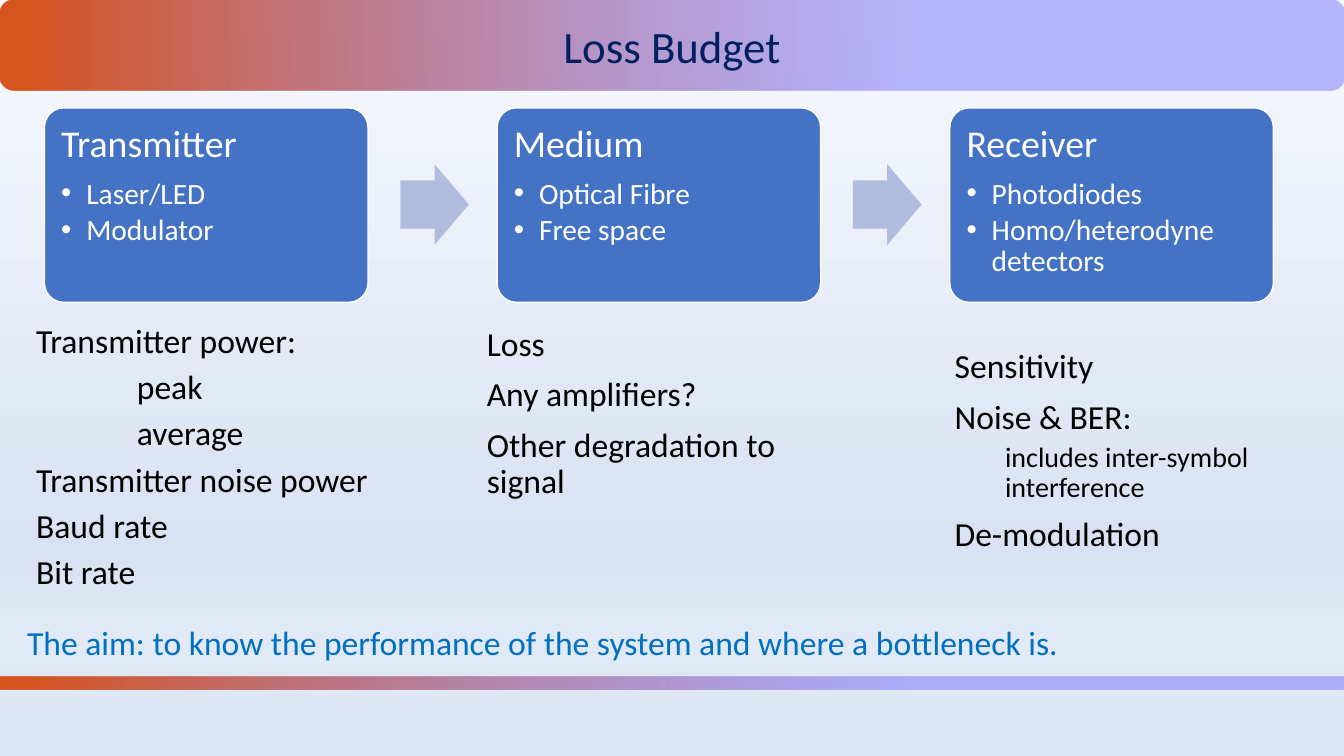
import lxml.etree
import pptx
import pptx.dml.color
import pptx.enum.dml
import pptx.enum.shapes
import pptx.enum.text
import pptx.oxml.ns
import pptx.util

Inches = pptx.util.Inches
Pt = pptx.util.Pt
qn = pptx.oxml.ns.qn
SHAPES = pptx.enum.shapes.MSO_SHAPE
COLUMN_STEP = 4.49


def set_gradient(fill, element, stops, angle):
    """Fill with stops of (position %, colour, opacity %); angle is counterclockwise."""
    fill.gradient()
    fill.gradient_angle = angle
    stop_list = next(element.iter(qn("a:gsLst")))
    stop_list.clear()
    for position, colour, opacity in stops:
        stop = lxml.etree.SubElement(stop_list, qn("a:gs"), pos=str(position * 1000))
        shade = lxml.etree.SubElement(stop, qn("a:srgbClr"), val=colour)
        if opacity < 100:
            lxml.etree.SubElement(shade, qn("a:alpha"), val=str(opacity * 1000))


def add_span(para, text, size, colour, line_spacing=0.9):
    para.line_spacing = line_spacing
    span = para.add_run()
    span.text = text
    span.font.name = "Calibri"
    span.font.size = Pt(size)
    span.font.color.rgb = pptx.dml.color.RGBColor.from_string(colour)


deck = pptx.Presentation()
deck.slide_width = Inches(13.33)
deck.slide_height = Inches(7.5)
page = deck.slides.add_slide(deck.slide_layouts[6])
background_stops = [(0, "F6F8FC", 100), (74, "D9E2F3", 100),
                    (83, "E2E9F6", 100), (100, "DCE5F4", 47)]
set_gradient(page.background.fill, page.element, background_stops, 270)

# Header and footer bars
for top, height in [(0, 0.9), (6.71, 0.13)]:
    bar = page.shapes.add_shape(SHAPES.ROUNDED_RECTANGLE, 0, Inches(top),
                                deck.slide_width, Inches(height))
    bar.shadow.inherit = False
    bar.line.fill.background()
    set_gradient(bar.fill, bar.element, [(2, "D65420", 100), (68, "7B75FB", 51)], 0)

# Title and closing statement
aim = "The aim: to know the performance of the system and where a bottleneck is."
for text, left, top, width, height, size, colour, align in [
    ("Loss Budget", 0, 0.2, 13.33, 0.46, 32, "002060", pptx.enum.text.PP_ALIGN.CENTER),
    (aim, 0.17, 6.17, 12.93, 1.2, 24, "0070C0", pptx.enum.text.PP_ALIGN.LEFT),
]:
    box = page.shapes.add_textbox(Inches(left), Inches(top), Inches(width), Inches(height))
    box.text_frame.word_wrap = True
    para = box.text_frame.paragraphs[0]
    para.alignment = align
    add_span(para, text, size, colour)

# Chain of system stages
stages = [
    ("Transmitter", ["Laser/LED", "Modulator"]),
    ("Medium", ["Optical Fibre", "Free space"]),
    ("Receiver", ["Photodiodes", "Homo/heterodyne detectors"]),
]
for index, (heading, parts) in enumerate(stages):
    offset = index * COLUMN_STEP
    card = page.shapes.add_shape(SHAPES.ROUNDED_RECTANGLE, Inches(0.44 + offset),
                                 Inches(1.07), Inches(3.21), Inches(1.93))
    card.adjustments[0] = 0.1
    card.shadow.inherit = False
    card.fill.solid()
    card.fill.fore_color.rgb = pptx.dml.color.RGBColor.from_string("4472C4")
    card.line.color.rgb = pptx.dml.color.RGBColor.from_string("FFFFFF")
    card.line.width = Pt(1)
    frame = card.text_frame
    frame.word_wrap = True
    frame.vertical_anchor = pptx.enum.text.MSO_ANCHOR.TOP
    frame.margin_left = frame.margin_right = Inches(0.11)
    frame.margin_top = frame.margin_bottom = Inches(0.11)
    para = frame.paragraphs[0]
    para.alignment = pptx.enum.text.PP_ALIGN.LEFT
    para.space_after = Pt(9.45)
    add_span(para, heading, 27, "FFFFFF")
    for part in parts:
        para = frame.add_paragraph()
        para.alignment = pptx.enum.text.PP_ALIGN.LEFT
        properties = para._p.get_or_add_pPr()
        properties.set("marL", str(Inches(0.25)))
        properties.set("indent", str(-Inches(0.25)))
        lxml.etree.SubElement(properties, qn("a:buFont"), typeface="Arial")
        lxml.etree.SubElement(properties, qn("a:buChar"), char="•")
        para.space_after = Pt(3.15)
        add_span(para, part, 21, "FFFFFF")

    if index < len(stages) - 1:
        arrow = page.shapes.add_shape(SHAPES.RIGHT_ARROW, Inches(3.97 + offset),
                                      Inches(1.63), Inches(0.68), Inches(0.8))
        arrow.adjustments[0] = 0.6
        arrow.adjustments[1] = 0.5
        arrow.shadow.inherit = False
        arrow.fill.solid()
        arrow.fill.fore_color.rgb = pptx.dml.color.RGBColor.from_string("B0BCDE")
        arrow.line.fill.background()

# Notes under each stage: (text, indent, size, space before)
transmitter_notes = [
    ("Transmitter power:", 0, 24, 0), ("peak", 1, 24, 10), ("average", 1, 24, 10),
    ("Transmitter noise power", 0, 24, 10), ("Baud rate", 0, 24, 10), ("Bit rate", 0, 24, 10),
]
medium_notes = [
    ("Loss", 0, 24, 0), ("Any amplifiers?", 0, 24, 10),
    ("Other degradation to signal", 0, 24, 10),
]
receiver_notes = [
    ("Sensitivity", 0, 24, 0), ("Noise & BER:", 0, 24, 10),
    ("includes inter-symbol interference", 0.5, 20, 5), ("De-modulation", 0, 24, 10),
]
for left, top, line_spacing, notes in [
    (0.26, 3.2, 0.8, transmitter_notes),
    (4.73, 3.2, 0.9, medium_notes),
    (9.37, 3.42, 0.9, receiver_notes),
]:
    box = page.shapes.add_textbox(Inches(left), Inches(top), Inches(3.87), Inches(2.85))
    frame = box.text_frame
    frame.word_wrap = True
    for index, (text, indent, size, space_before) in enumerate(notes):
        para = frame.add_paragraph() if index else frame.paragraphs[0]
        para._p.get_or_add_pPr().set("marL", str(Inches(indent)))
        para.space_before = Pt(space_before)
        add_span(para, text, size, "000000", line_spacing)

deck.save("out.pptx")
